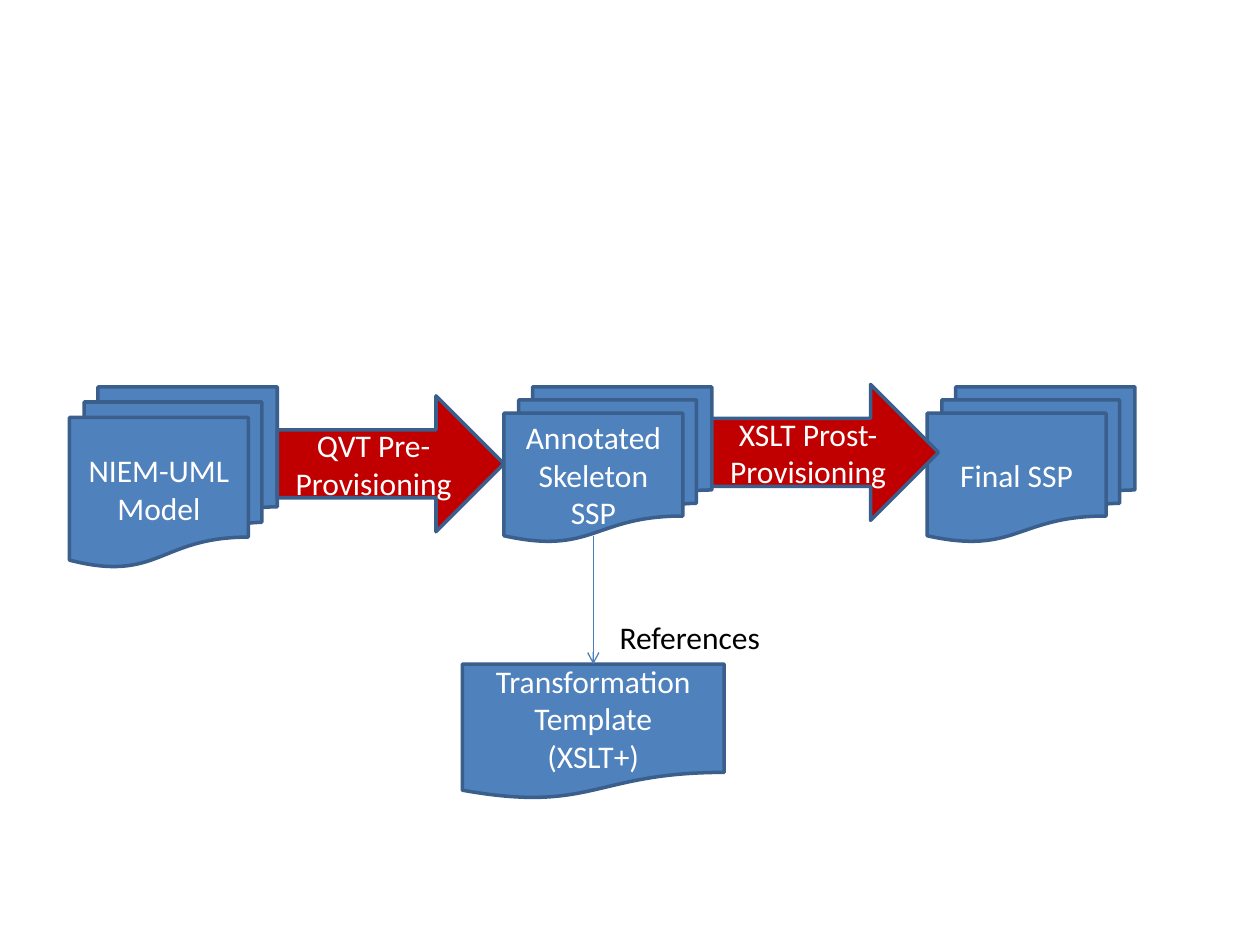
from dataclasses import dataclass

from lxml.etree import SubElement
from pptx import Presentation
from pptx.dml.color import RGBColor
from pptx.enum.shapes import MSO_CONNECTOR as Link, MSO_SHAPE as Preset
from pptx.enum.text import MSO_ANCHOR as Anchor, PP_ALIGN as Align
from pptx.oxml.ns import qn
from pptx.util import Cm, Pt


@dataclass(frozen=True)
class Theme:
    font: str = "Calibri"
    size: float = 18
    document: str = "4F81BD"
    process: str = "C00000"
    outline: str = "3A5F8C"
    reference: str = "4B7EBC"
    light: str = "FFFFFF"
    dark: str = "000000"
    outline_width: float = 2
    reference_width: float = 0.75


THEME = Theme()
STAGE_WIDTH = 4.19
STAGE_TOP = 7.8
PROCESS_WIDTH, PROCESS_HEIGHT = 4.57, 2.74


def rgb(code):
    return RGBColor.from_string(code)


def write(frame, text, color=THEME.light, align=Align.CENTER, anchor=Anchor.MIDDLE, wrap=True):
    frame.word_wrap = wrap
    frame.vertical_anchor = anchor
    for index, line in enumerate(text.split("\n")):
        paragraph = frame.add_paragraph() if index else frame.paragraphs[0]
        paragraph.alignment = align
        run = paragraph.add_run()
        run.text = line
        run.font.name = THEME.font
        run.font.size = Pt(THEME.size)
        run.font.color.rgb = rgb(color)


def add_node(slide, preset, text, left, top, width, height, fill=THEME.document):
    node = slide.shapes.add_shape(preset, Cm(left), Cm(top), Cm(width), Cm(height))
    node.shadow.inherit = False
    node.fill.solid()
    node.fill.fore_color.rgb = rgb(fill)
    node.line.color.rgb = rgb(THEME.outline)
    node.line.width = Pt(THEME.outline_width)
    write(node.text_frame, text)


def add_reference(slide, x, top, bottom):
    reference = slide.shapes.add_connector(Link.STRAIGHT, Cm(x), Cm(top), Cm(x), Cm(bottom))
    reference.line.color.rgb = rgb(THEME.reference)
    reference.line.width = Pt(THEME.reference_width)
    SubElement(reference.line._get_or_add_ln(), qn("a:tailEnd"), type="arrow")
    SubElement(reference._element.spPr, qn("a:effectLst"))


def add_label(slide, text, left, top, width, height):
    label = slide.shapes.add_textbox(Cm(left), Cm(top), Cm(width), Cm(height))
    write(label.text_frame, text, color=THEME.dark, align=Align.LEFT, anchor=Anchor.TOP, wrap=False)


def main():
    deck = Presentation()
    deck.slide_width, deck.slide_height = Cm(25.4), Cm(19.05)
    slide = deck.slides.add_slide(deck.slide_layouts[6])

    stages = [
        ("NIEM-UML Model", 1.4, 3.63),
        ("Annotated Skeleton SSP", 10.16, 3.12),
        ("Final SSP", 18.69, 3.12),
    ]
    for text, left, height in stages:
        add_node(slide, Preset.FLOWCHART_MULTIDOCUMENT, text, left, STAGE_TOP, STAGE_WIDTH, height)

    template_top = 13.39
    add_node(slide, Preset.FLOWCHART_DOCUMENT, "Transformation Template\n(XSLT+)",
             9.32, template_top, 5.28, 2.72)

    processes = [("QVT Pre-Provisioning", 7.98), ("XSLT Prost-Provisioning", 7.75)]
    for (text, top), (_, stage_left, _) in zip(processes, stages):
        add_node(slide, Preset.RIGHT_ARROW, text, stage_left + STAGE_WIDTH, top,
                 PROCESS_WIDTH, PROCESS_HEIGHT, fill=THEME.process)

    add_reference(slide, 11.96, 10.8, template_top)
    add_label(slide, "References", 12.24, 12.34, 3.38, 1.02)
    deck.save("out.pptx")


main()
